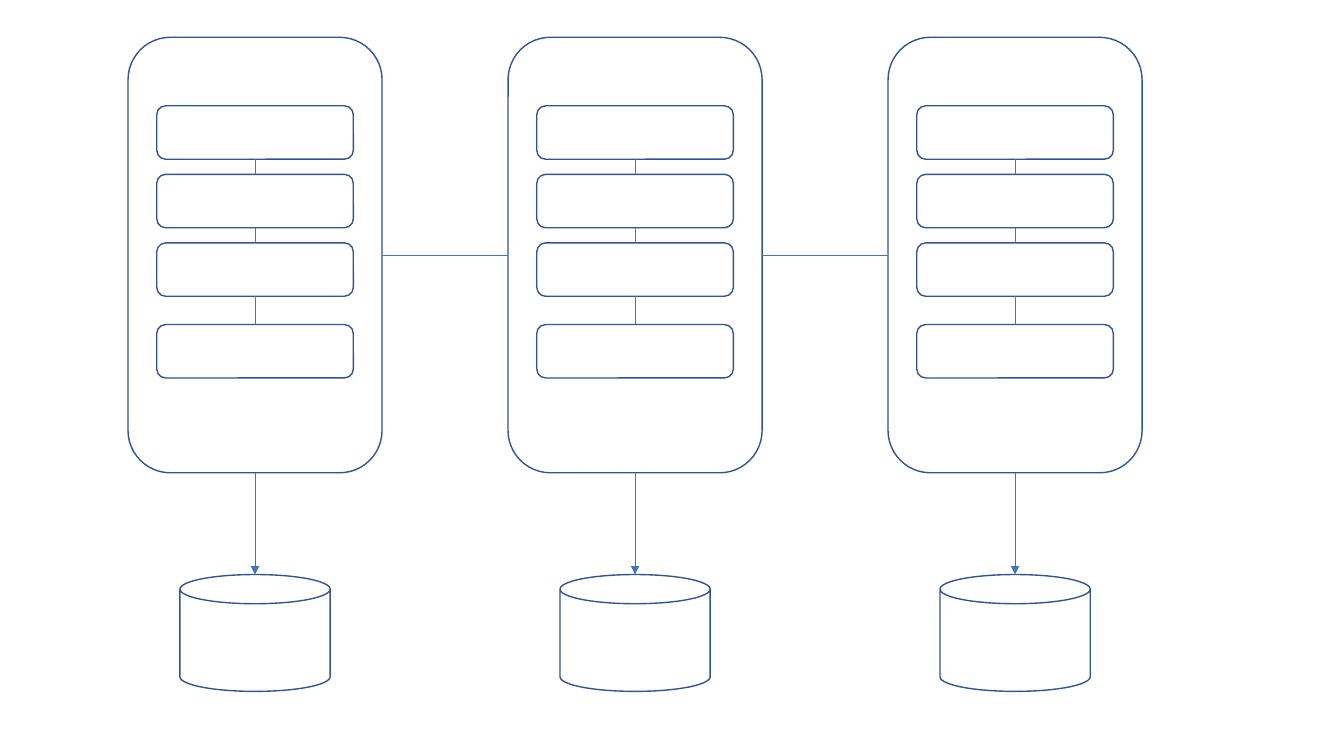
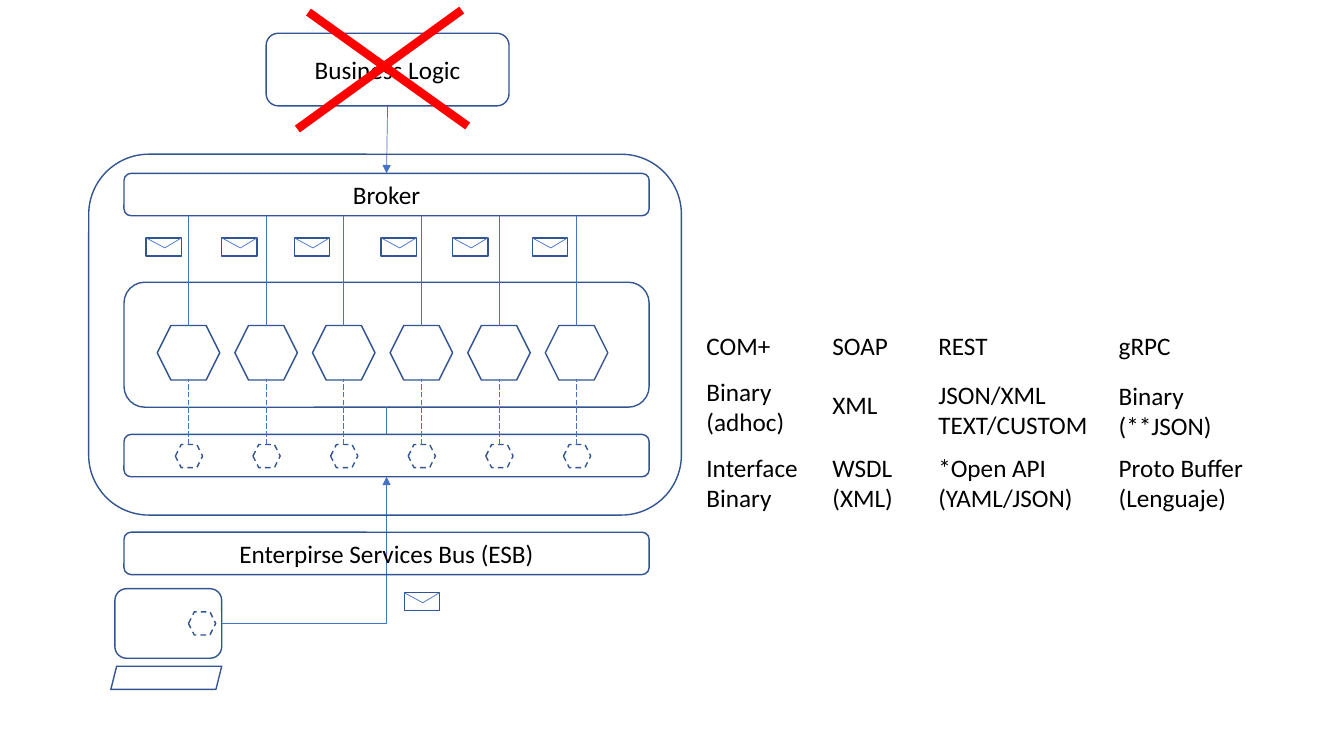
from collections import namedtuple

from lxml import etree
from pptx import Presentation
from pptx import util as u
from pptx.dml.color import RGBColor
from pptx.enum import dml, shapes, text
from pptx.oxml.ns import qn

Side = namedtuple("Side", "shape index")
TOP, LEFT, BOTTOM, RIGHT = range(4)
KIND = shapes.MSO_SHAPE
DASH = dml.MSO_LINE


def colour(code):
    return RGBColor.from_string(code)


class Sketch:
    CELL = u.Inches(0.1)
    COLUMNS, ROWS = 133.33, 75
    OUTLINE, LINK, INK, CROSS = "325491", "4472C4", "000000", "FF0000"
    FONT, SIZE = "Calibri", 18

    def __init__(self):
        self.deck = Presentation()
        self.deck.slide_width, self.deck.slide_height = self.cells(self.COLUMNS, self.ROWS)

    def cells(self, *counts):
        return [round(count * self.CELL) for count in counts]

    def new_slide(self):
        self.canvas = self.deck.slides.add_slide(self.deck.slide_layouts[6]).shapes

    def letter(self, frame, lines, align):
        frame.text = "\n".join(lines)
        for paragraph in frame.paragraphs:
            paragraph.alignment = align
            paragraph.font.name = self.FONT
            paragraph.font.size = u.Pt(self.SIZE)
            paragraph.font.color.rgb = colour(self.INK)

    def stroke(self, line, code, width, dash):
        line.color.rgb = colour(code)
        line.width = u.Pt(width)
        if dash:
            line.dash_style = dash

    def box(self, kind, x, y, w, h, label="", dash=None):
        shape = self.canvas.add_shape(kind, *self.cells(x, y, w, h))
        shape.shadow.inherit = False
        shape.fill.background()
        self.stroke(shape.line, self.OUTLINE, 1, dash)
        if label:
            shape.text_frame.vertical_anchor = text.MSO_ANCHOR.MIDDLE
            self.letter(shape.text_frame, [label], text.PP_ALIGN.CENTER)
        return shape

    def link(self, begin, end, code=LINK, width=0.5, dash=None, arrow=False, bent=False):
        kind = shapes.MSO_CONNECTOR.ELBOW if bent else shapes.MSO_CONNECTOR.STRAIGHT
        points = [(0, 0) if isinstance(tip, Side) else tip for tip in (begin, end)]
        connector = self.canvas.add_connector(kind, *self.cells(*points[0], *points[1]))
        if isinstance(begin, Side):
            connector.begin_connect(*begin)
        if isinstance(end, Side):
            connector.end_connect(*end)
        self.stroke(connector.line, code, width, dash)
        properties = connector.element.spPr
        if bent:
            properties.find(qn("a:prstGeom")).set("prst", "bentConnector2")
        if arrow:
            etree.SubElement(properties.find(qn("a:ln")), qn("a:tailEnd"), type="triangle")
        etree.SubElement(properties, qn("a:effectLst"))

    def envelope(self, x, y):
        page = self.canvas
        self.canvas = page.add_group_shape().shapes
        width, fold = 3.5, (x + 1.85, y + 1)
        self.box(KIND.RECTANGLE, x, y, width, 1.8)
        for corner in (x, x + width):
            self.link((corner, y), fold)
        self.canvas = page

    def note(self, x, y, w, lines):
        height = 1 + 3.03 * len(lines)
        frame = self.canvas.add_textbox(*self.cells(x, y, w, height)).text_frame
        frame.word_wrap = False
        frame.auto_size = text.MSO_AUTO_SIZE.SHAPE_TO_FIT_TEXT
        self.letter(frame, lines, text.PP_ALIGN.LEFT)


def layered_services(sketch):
    sketch.new_slide()
    previous = None
    for service in range(3):
        centre = 25.3 + 37.7 * service
        panel = sketch.box(KIND.ROUNDED_RECTANGLE, centre - 12.6, 3.7, 25.2, 43.2)
        layers = [sketch.box(KIND.ROUNDED_RECTANGLE, centre - 9.75, top, 19.5, 5.3)
                  for top in (10.5, 17.3, 24.1, 32.2)]
        for upper, lower in zip(layers, layers[1:]):
            sketch.link(Side(upper, BOTTOM), Side(lower, TOP))
        sketch.box(KIND.CAN, centre - 7.45, 57, 14.9, 11.6)
        sketch.link(Side(panel, BOTTOM), (centre, 57), arrow=True)
        if previous:
            sketch.link(Side(previous, RIGHT), Side(panel, LEFT))
        previous = panel


def service_bus(sketch):
    sketch.new_slide()

    def band(top, height, label=""):
        return sketch.box(KIND.ROUNDED_RECTANGLE, 12.3, top, 52.1, height, label)

    def contract(centre, top):
        sketch.box(KIND.HEXAGON, centre - 1.35, top, 2.7, 2.3, dash=DASH.DASH)

    logic = sketch.box(KIND.ROUNDED_RECTANGLE, 26.4, 3.3, 24.1, 7.2, "Business Logic")
    broker = band(17.2, 4.2, "Broker")
    services = band(28, 12.4)
    contracts = band(43.1, 4.2)
    sketch.link(Side(logic, BOTTOM), Side(broker, TOP), arrow=True)
    sketch.link(Side(services, BOTTOM), Side(contracts, TOP))

    for service, mail in enumerate((14.5, 22, 29.2, 37.8, 44.9, 52.8)):
        centre = 18.7 + 7.7 * service
        sketch.box(KIND.HEXAGON, centre - 3.1, 32.3, 6.2, 5.4)
        sketch.envelope(mail, 23.6)
        sketch.link((centre, 32.3), (centre, 21.4))
        contract(centre + 0.05, 44.1)
        sketch.link((centre, 44.1), (centre, 37.6), dash=DASH.LONG_DASH)

    screen = sketch.box(KIND.ROUNDED_RECTANGLE, 11.4, 58.4, 10.6, 6.9)
    sketch.box(KIND.PARALLELOGRAM, 11, 66.1, 11, 2.3)
    sketch.link(Side(screen, RIGHT), Side(contracts, BOTTOM), arrow=True, bent=True)
    contract(20.05, 60.7)
    sketch.envelope(40.1, 58.8)

    protocols = (
        (69.1, 36.8, (8.4, 9.8, 11.8),
         (["COM+"], ["Binary", "(adhoc)"], ["Interface", "Binary"])),
        (81.6, 38.1, (7.6, 6.6, 8),
         (["SOAP"], ["XML"], ["WSDL", "(XML)"])),
        (92.1, 37.1, (7, 16.9, 15.5),
         (["REST"], ["JSON/XML", "TEXT/CUSTOM"], ["*Open API", "(YAML/JSON)"])),
        (110, 37.2, (7.2, 11.3, 14.5),
         (["gRPC"], ["Binary", "(**JSON)"], ["Proto Buffer", "(Lenguaje)"])),
    )
    for left, format_top, widths, entries in protocols:
        for top, width, lines in zip((32.3, format_top, 44.4), widths, entries):
            sketch.note(left, top, width, lines)

    for begin, end in (((30.6, 1.2), (46.4, 12.5)), ((45.8, 1), (29.5, 12.8))):
        sketch.link(begin, end, sketch.CROSS, 6)
    band(52.8, 4.2, "Enterpirse Services Bus (ESB)")
    sketch.box(KIND.ROUNDED_RECTANGLE, 8.8, 15.3, 58.8, 35.8)


def main():
    sketch = Sketch()
    layered_services(sketch)
    service_bus(sketch)
    sketch.deck.save("out.pptx")


if __name__ == "__main__":
    main()
